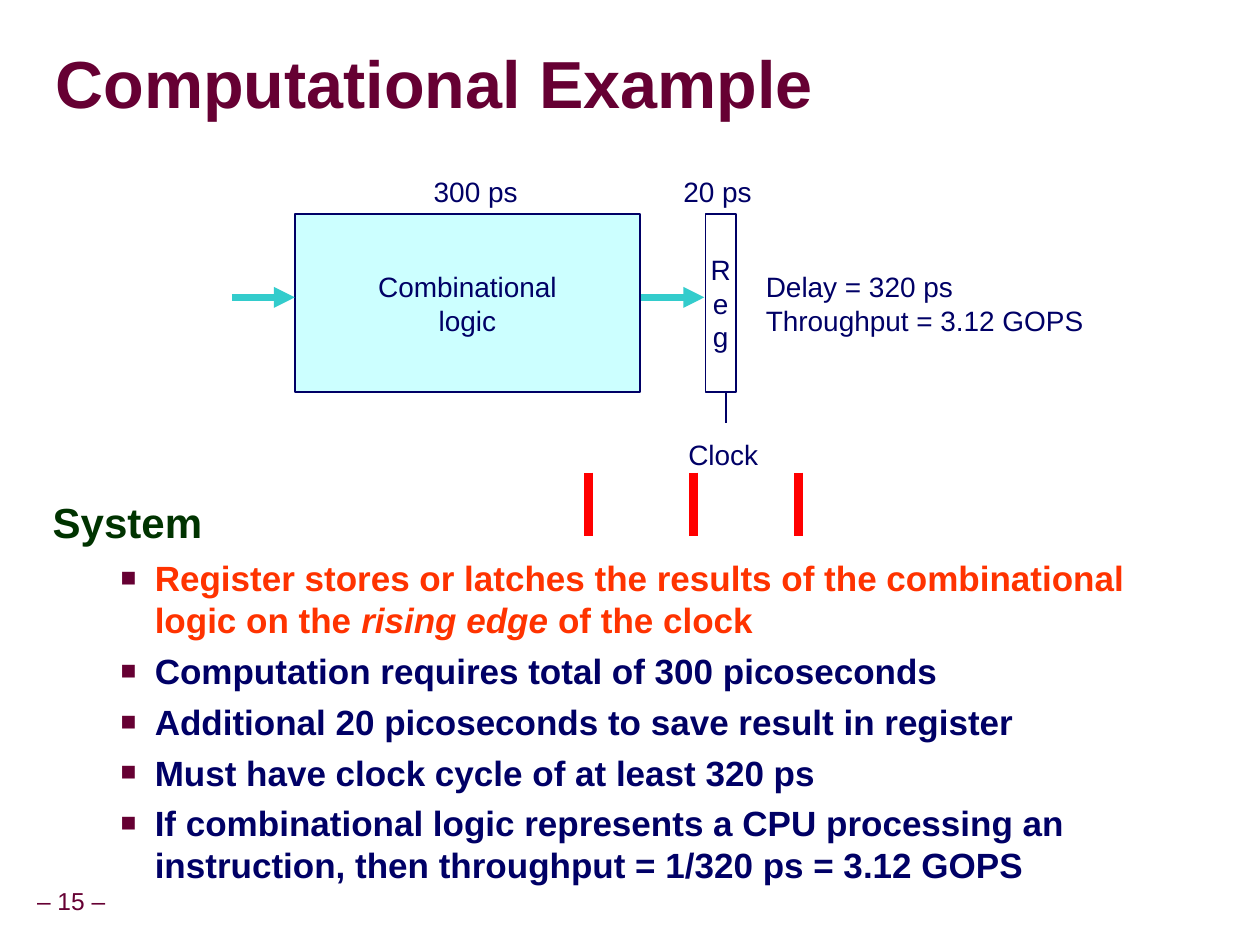
"""Build the Computational Example slide."""
from lxml.etree import SubElement as Sub
from pptx import Presentation
from pptx.dml.color import RGBColor as Rgb
from pptx.enum.shapes import MSO_CONNECTOR as Con, MSO_SHAPE as Geo
from pptx.enum.text import MSO_ANCHOR as Anc, MSO_AUTO_SIZE as Fit, PP_ALIGN as Al
from pptx.oxml.ns import qn
from pptx.util import Inches, Pt

theme = {
    "face": "Arial",
    "wine": "660033", "navy": "000066", "green": "003300", "hot": "FF3300",
    "red": "FF0000", "teal": "33CCCC", "pale": "CCFFFF", "white": "FFFFFF",
    "grey": "808080",
    "title": 38, "head": 24, "body": 20, "label": 16, "foot": 14,
}

deck = Presentation()
deck.slide_width, deck.slide_height = Inches(10), Inches(7.5)
col, row = deck.slide_width / 100, deck.slide_height / 75
slide = deck.slides.add_slide(deck.slide_layouts[6])
shapes = slide.shapes


def grid(x, y, w, h):
    return [round(n) for n in (x * col, y * row, w * col, h * row)]


def write(frame, paras, size, tint, pads=(0.1, 0.05), bold=False, form=None, **opts):
    fmt = {"margin_left": Inches(pads[0]), "margin_right": Inches(pads[0]),
           "margin_top": Inches(pads[1]), "margin_bottom": Inches(pads[1]),
           "word_wrap": False, "vertical_anchor": Anc.TOP}
    for key, val in (fmt | opts).items():
        setattr(frame, key, val)
    for i, runs in enumerate(paras):
        para = frame.add_paragraph() if i else frame.paragraphs[0]
        for key, val in (form or {}).items():
            setattr(para, key, val)
        for part in [runs] if isinstance(runs, str) else runs:
            run = para.add_run()
            run.text = part.strip("*")
            font = {"name": theme["face"], "size": Pt(theme[size]),
                    "bold": bold, "italic": part.startswith("*")}
            for key, val in font.items():
                setattr(run.font, key, val)
            run.font.color.rgb = Rgb.from_string(theme[tint])
    return frame.paragraphs


mid = {"alignment": Al.CENTER}

foot = shapes.add_textbox(*grid(2.3, 70, 6.7, 3.2))
write(foot.text_frame, ["– 15 –"], "foot", "wine", (0.05, 0.05),
      form=mid | {"line_spacing": 0.9}, vertical_anchor=Anc.MIDDLE)

title = shapes.add_textbox(*grid(4.4, 2.7, 95.3, 8.5))
lines = write(title.text_frame, ["Computational Example"], "title", "wine", (0, 0), True,
              {"line_spacing": 0.87}, word_wrap=True, vertical_anchor=Anc.MIDDLE)
props = lines[0].runs[0].font.color._xFill.getparent()
glow = Sub(Sub(props, qn("a:effectLst")), qn("a:outerShdw"),
           blurRad="38100", dist="38100", dir="2700000", algn="tl")
props.insert(1, glow.getparent())
Sub(Sub(glow, qn("a:srgbClr"), val=theme["grey"]), qn("a:alpha"), val="60000")

points = [
    ("hot", ["Register stores or latches the results of the combinational logic on the ",
             "*rising edge ", "of the clock"]),
    ("navy", "Computation requires total of 300 picoseconds"),
    ("navy", "Additional 20 picoseconds to save result in register"),
    ("navy", "Must have clock cycle of at least 320 ps"),
    ("navy", "If combinational logic represents a CPU processing an instruction, "
             "then throughput = 1/320 ps = 3.12 GOPS"),
]
body = shapes.add_textbox(*grid(3.2, 39.2, 90.8, 31.2)).text_frame
write(body, ["System"] + [text for _, text in points], "body", "navy", bold=True,
      word_wrap=True)
head, *items = body.paragraphs
head.line_spacing = 0.95
head.runs[0].font.size = Pt(theme["head"])
head.runs[0].font.color.rgb = Rgb.from_string(theme["green"])
for para, (tint, _) in zip(items, points):
    para.level = 1
    ppr = para._p.get_or_add_pPr()
    ppr.set("marL", str(Inches(0.81)))
    ppr.set("indent", str(Inches(-0.27)))
    Sub(Sub(ppr, qn("a:buClr")), qn("a:srgbClr"), val=theme["wine"])
    Sub(ppr, qn("a:buSzPct"), val="75000")
    Sub(ppr, qn("a:buFont"), typeface=theme["face"])
    Sub(ppr, qn("a:buChar"), char="■")
    para.space_before = Pt(theme["body"] / 4)
    for run in para.runs:
        run.font.color.rgb = Rgb.from_string(theme[tint])

for x, w, fill, text in [(23.4, 27.4, "pale", ["Combinational", "logic"]),
                         (56, 2.4, "white", list("Reg"))]:
    block = shapes.add_shape(Geo.RECTANGLE, *grid(x, 17, w, 14.1))
    block.shadow.inherit = False
    block.fill.solid()
    block.fill.fore_color.rgb = Rgb.from_string(theme[fill])
    block.line.color.rgb = Rgb.from_string(theme["navy"])
    block.line.width = Pt(1)
    write(block.text_frame, text, "label", "navy", form=mid, vertical_anchor=Anc.MIDDLE)

for x, y, w, h, text, form in [
    (33.4, 13.4, 8.7, 3.7, ["300 ps"], mid),
    (53.2, 13.4, 7.5, 3.7, ["20 ps"], mid),
    (53.5, 34.2, 7.8, 3.7, ["Clock"], mid),
    (59.8, 20.9, 27.5, 6.4, ["Delay = 320 ps", "Throughput = 3.12 GOPS"], {}),
]:
    label = shapes.add_textbox(*grid(x, y, w, h))
    write(label.text_frame, text, "label", "navy", form=form, auto_size=Fit.SHAPE_TO_FIT_TEXT)

wires = [(x, 23.6, 5, 0, "teal", 4) for x in (18.4, 50.9)]
wires += [(57.6, 31.1, 0, 2.5, "navy", 1)]
wires += [(46.7 + 8.33 * i, 37.5, 0, 5, "red", 5) for i in range(3)]
for x, y, w, h, tint, wide in wires:
    left, top, right, low = grid(x, y, x + w, y + h)
    wire = shapes.add_connector(Con.STRAIGHT, left, top, right, low)
    wire.line.color.rgb = Rgb.from_string(theme[tint])
    wire.line.width = Pt(wide)
    if w:
        Sub(wire.line._get_or_add_ln(), qn("a:tailEnd"), type="triangle")
    Sub(wire._element.spPr, qn("a:effectLst"))

deck.save("out.pptx")
